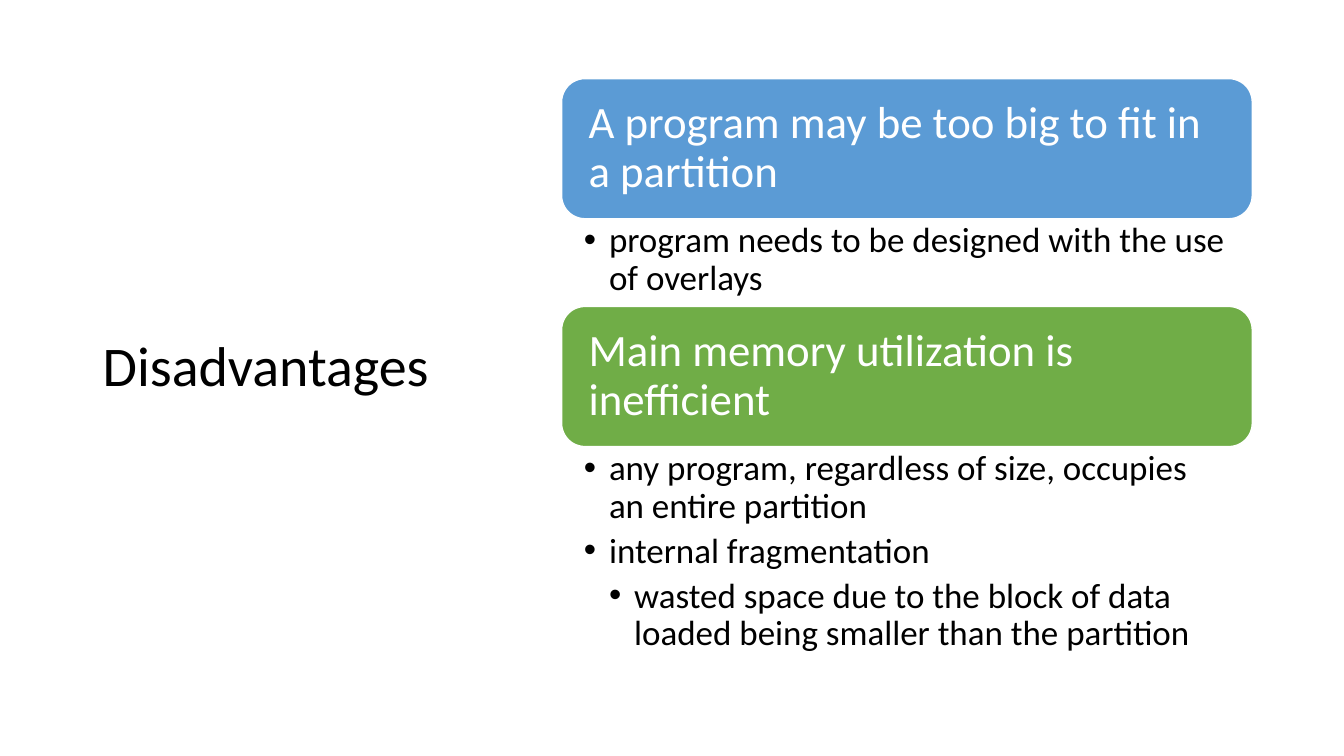
from pptx import Presentation
from pptx.dml.color import RGBColor
from pptx.enum.shapes import MSO_SHAPE
from pptx.enum.text import MSO_ANCHOR, PP_ALIGN
from pptx.oxml.ns import qn
from pptx.util import Inches, Pt
from lxml.etree import SubElement


def color(value):
    return RGBColor.from_string(value)


def write_text(frame, text, first=True, size=25, fill="000000", font="Calibri", level=0, after=0):
    para = frame.paragraphs[0] if first else frame.add_paragraph()
    para.alignment = PP_ALIGN.LEFT
    para.line_spacing = 0.9
    para.space_after = Pt(after)
    if level:
        properties = para._p.get_or_add_pPr()
        properties.set("marL", str(Inches(0.25 * level)))
        properties.set("indent", str(Inches(-0.25)))
        SubElement(properties, qn("a:buFont"), typeface="Arial")
        SubElement(properties, qn("a:buChar"), char="•")
    span = para.add_run()
    span.text = text
    span.font.name = font
    span.font.size = Pt(size)
    span.font.color.rgb = color(fill)


class SlideBuilder:
    font = "Calibri"
    ink = "000000"
    paper = "FFFFFF"

    def __init__(self, page):
        self.page = page

    def frame(self, box, left, top, right, bottom, anchor):
        frame = box.text_frame
        frame.word_wrap = True
        frame.vertical_anchor = anchor
        frame.margin_left, frame.margin_top = Inches(left), Inches(top)
        frame.margin_right, frame.margin_bottom = Inches(right), Inches(bottom)
        return frame

    def title(self, text, left, top, width, height):
        box = self.page.shapes.add_textbox(Inches(left), Inches(top), Inches(width), Inches(height))
        frame = self.frame(box, 0.1, 0.05, 0.1, 0.05, MSO_ANCHOR.MIDDLE)
        write_text(frame, text, size=40, fill=self.ink, font=self.font)

    def banner(self, text, fill, left, top, width, height):
        box = self.page.shapes.add_shape(
            MSO_SHAPE.ROUNDED_RECTANGLE, Inches(left), Inches(top), Inches(width), Inches(height))
        box.shadow.inherit = False
        box.fill.solid()
        box.fill.fore_color.rgb = color(fill)
        box.line.color.rgb = color(self.paper)
        box.line.width = Pt(1)
        frame = self.frame(box, 0.2, 0.2, 0.2, 0.2, MSO_ANCHOR.MIDDLE)
        write_text(frame, text, size=32, fill=self.paper, font=self.font)

    def bullets(self, items, left, top, width, height):
        box = self.page.shapes.add_textbox(Inches(left), Inches(top), Inches(width), Inches(height))
        frame = self.frame(box, 0.22, 0.04, 0.25, 0.04, MSO_ANCHOR.TOP)
        for index, (level, text) in enumerate(items):
            write_text(frame, text, first=index == 0, fill=self.ink, font=self.font,
                       level=level, after=5)


def main():
    deck = Presentation()
    deck.slide_width, deck.slide_height = Inches(13.33), Inches(7.5)
    slide = SlideBuilder(deck.slides.add_slide(deck.slide_layouts[6]))
    slide.title("Disadvantages", 0.92, 0.61, 3.69, 6.09)

    sections = [
        ("A program may be too big to fit in a partition", "5B9BD5", 0.87, [
            (1, "program needs to be designed with the use of overlays"),
        ]),
        ("Main memory utilization is inefficient", "70AD47", 2.17, [
            (1, "any program, regardless of size, occupies an entire partition"),
            (1, "internal fragmentation"),
            (2, "wasted space due to the block of data loaded being smaller than the partition"),
        ]),
    ]
    left, top, width, banner_height = 5.57, 0.78, 6.85, 1.39
    for heading, fill, list_height, items in sections:
        slide.banner(heading, fill, left, top, width, banner_height)
        top += banner_height
        slide.bullets(items, left, top, width, list_height)
        top += list_height

    deck.save("out.pptx")


if __name__ == "__main__":
    main()
